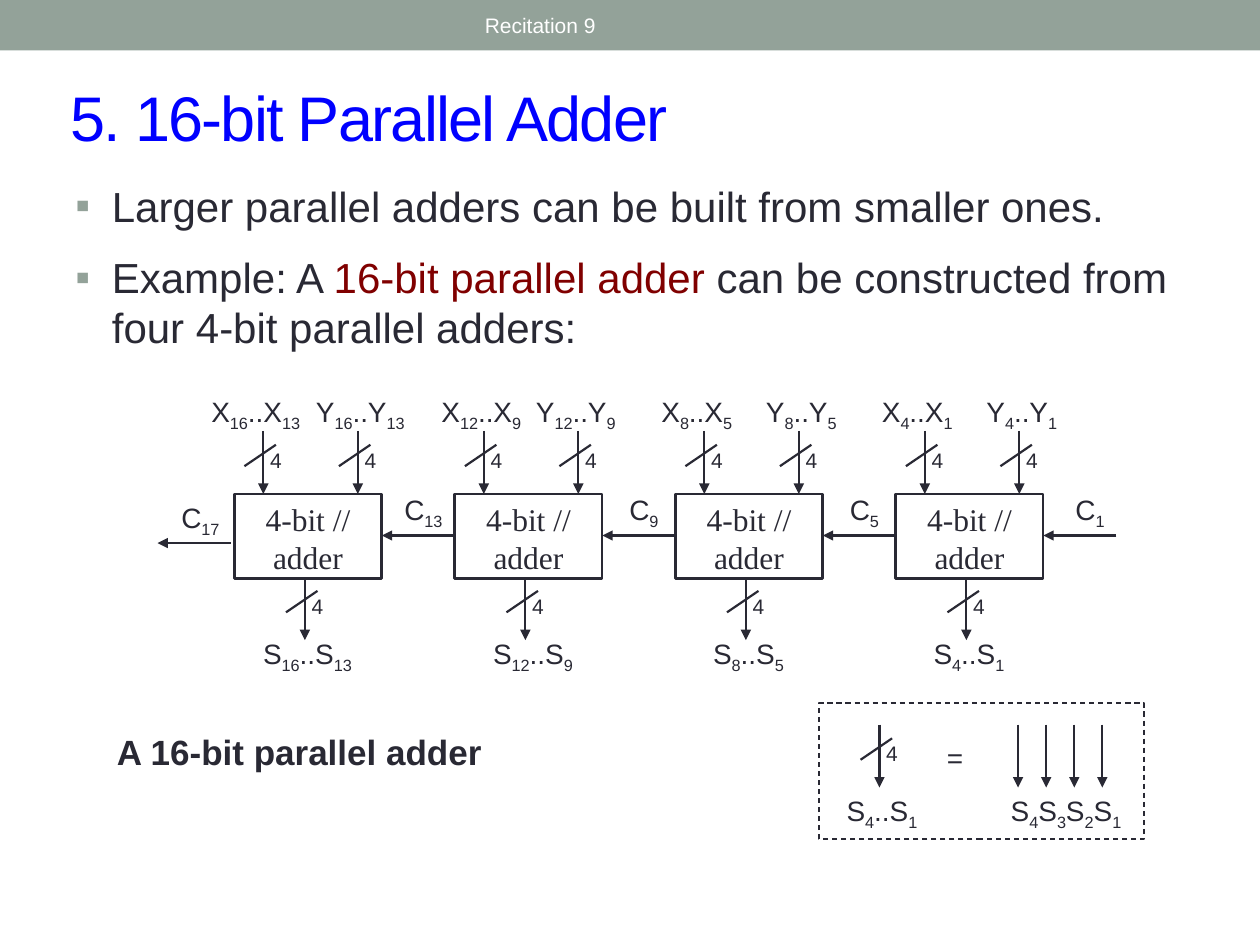
from dataclasses import dataclass

from lxml import etree
from pptx import Presentation
from pptx import util as u
from pptx.dml import color
from pptx.enum import dml, shapes, text
from pptx.oxml import ns


@dataclass(frozen=True)
class Theme:
    sans: str = "Arial"
    serif: str = "Times New Roman"
    ink: str = "292934"
    sage: str = "93A299"
    blue: str = "0000FF"
    maroon: str = "800000"
    white: str = "FFFFFF"
    title: int = 36
    body: int = 24
    caption: int = 20
    adder: int = 18
    label: int = 16
    small: int = 12
    box_line: float = 1.5
    wire_line: float = 1.25
    legend_line: float = 0.75


THEME = Theme()
CENTER = text.PP_ALIGN.CENTER
COLUMN_LEFT = 1.86
COLUMN_STEP = 1.75
BOX_WIDTH = 1.17
BOX_HEIGHT = 0.67
INPUT_TOP = 3.42
BOX_TOP = 3.92
OUTPUT_TOP = 4.58
CARRY_Y = 4.25


def rgb(value):
    return color.RGBColor.from_string(value)


def add_bullet(paragraph, hanging=0.29):
    properties = paragraph._p.get_or_add_pPr()
    properties.set("marL", str(u.Inches(hanging)))
    properties.set("indent", str(-u.Inches(hanging)))
    bullet_color = etree.SubElement(properties, ns.qn("a:buClr"))
    etree.SubElement(bullet_color, ns.qn("a:srgbClr"), val=THEME.sage)
    etree.SubElement(properties, ns.qn("a:buFont"), typeface=THEME.sans)
    etree.SubElement(properties, ns.qn("a:buChar"), char="▪")


def write_text(shape, content, size=THEME.label, font=THEME.sans, fill=THEME.ink,
               align=None, anchor=text.MSO_ANCHOR.TOP, bold=False, bullets=False,
               accent=None, spacing=None, gap=0, side_inset=0.1):
    """Parts between underscores take the accent colour, or become subscripts."""
    frame = shape.text_frame
    frame.word_wrap = True
    frame.vertical_anchor = anchor
    frame.margin_left = frame.margin_right = u.Inches(side_inset)
    for index, line in enumerate(content.split("\n")):
        paragraph = frame.add_paragraph() if index else frame.paragraphs[0]
        paragraph.alignment = align
        if index:
            paragraph.space_before = u.Pt(gap)
        if bullets:
            add_bullet(paragraph)
        for position, part in enumerate(line.split("_")):
            if not part:
                continue
            marked = position % 2 == 1
            run = paragraph.add_run()
            run.text = part
            run.font.name = font
            run.font.size = u.Pt(size)
            run.font.bold = bold
            run.font.color.rgb = rgb(accent if marked and accent else fill)
            properties = run._r.get_or_add_rPr()
            if marked and not accent:
                properties.set("baseline", "-25000")
            if spacing is not None:
                properties.set("spc", str(spacing))


def add_text(slide, content, left, top, width, height, **style):
    shape = slide.shapes.add_textbox(*map(u.Inches, (left, top, width, height)))
    write_text(shape, content, **style)


def add_label(slide, content, center, top, width, height=0.37, **style):
    add_text(slide, content, center - width / 2, top, width, height, align=CENTER, **style)


def add_box(slide, left, top, width, height, fill=None, line_width=None, dash=None):
    shape = slide.shapes.add_shape(
        shapes.MSO_SHAPE.RECTANGLE, *map(u.Inches, (left, top, width, height)))
    shape.shadow.inherit = False
    if fill:
        shape.fill.solid()
        shape.fill.fore_color.rgb = rgb(fill)
    else:
        shape.fill.background()
    if line_width:
        shape.line.color.rgb = rgb(THEME.ink)
        shape.line.width = u.Pt(line_width)
        shape.line.dash_style = dash
    else:
        shape.line.fill.background()
    return shape


def add_wire(slide, start, end, arrow=True):
    wire = slide.shapes.add_connector(
        shapes.MSO_CONNECTOR.STRAIGHT, *map(u.Inches, (*start, *end)))
    wire.line.color.rgb = rgb(THEME.ink)
    wire.line.width = u.Pt(THEME.wire_line)
    properties = wire._element.spPr
    if arrow:
        etree.SubElement(properties.find(ns.qn("a:ln")), ns.qn("a:tailEnd"), type="triangle")
    etree.SubElement(properties, ns.qn("a:effectLst"))


def add_bus(slide, x, top):
    add_wire(slide, (x, top), (x, top + 0.5))
    add_wire(slide, (x + 0.1, top + 0.11), (x - 0.15, top + 0.28), arrow=False)
    add_label(slide, "4", x + 0.1, top + 0.08, 0.33, 0.3, size=THEME.small)


def add_range(slide, letter, high, low, center, top):
    width = 0.66 + 0.085 * len(f"{high}{low}")
    add_label(slide, f"{letter}_{high}_..{letter}_{low}_", center, top, width)


def add_adder(slide, column):
    left = COLUMN_LEFT + column * COLUMN_STEP
    high, low = 16 - 4 * column, 13 - 4 * column
    nudge = 0.04 if column == 1 else 0
    box = add_box(slide, left, BOX_TOP, BOX_WIDTH, BOX_HEIGHT, line_width=THEME.box_line)
    write_text(box, "4-bit // adder", size=THEME.adder, font=THEME.serif, align=CENTER)
    for x in (0.23, 0.98):
        add_bus(slide, left + x, INPUT_TOP)
    add_bus(slide, left + 0.56, OUTPUT_TOP)
    add_range(slide, "X", high, low, left + 0.17 + nudge, 3.08)
    add_range(slide, "Y", high, low, left + 1 - nudge, 3.08)
    add_range(slide, "S", high, low, left + 0.58 + nudge, 5)
    right = left + BOX_WIDTH
    add_wire(slide, (right + 0.58, CARRY_Y), (right, CARRY_Y))
    carry_center = right + (0.37 if column == 3 else 0.33)
    add_label(slide, f"C_{low}_", carry_center, 3.86, 0.58)


def add_legend(slide):
    add_bus(slide, 6.98, 5.75)
    add_range(slide, "S", 4, 1, 7, 6.25)
    add_label(slide, "=", 7.58, 5.83, 0.5, side_inset=0.01)
    for index in range(4):
        x = 8.08 + 0.223 * index
        add_wire(slide, (x, 5.75), (x, 6.25))
    add_label(slide, "S_4_S_3_S_2_S_1_", 8.46, 6.25, 1.08, side_inset=0.01)
    add_box(slide, 6.5, 5.58, 2.58, 1.08, line_width=THEME.legend_line,
            dash=dml.MSO_LINE.DASH)


def main():
    presentation = Presentation()
    presentation.slide_width = u.Inches(10)
    presentation.slide_height = u.Inches(7.5)
    slide = presentation.slides.add_slide(presentation.slide_layouts[6])
    add_box(slide, 0, 0, 10, 0.4, fill=THEME.sage)
    add_text(slide, "5. 16-bit Parallel Adder", 0.46, 0.57, 9.21, 0.7, size=THEME.title,
             fill=THEME.blue, anchor=text.MSO_ANCHOR.MIDDLE, spacing=-100)
    add_text(slide, "Recitation 9", 3.75, 0.02, 4.5, 0.36, size=THEME.small,
             fill=THEME.white, anchor=text.MSO_ANCHOR.MIDDLE)
    add_text(slide, "Larger parallel adders can be built from smaller ones.\n"
             "Example: A _16-bit parallel adder_ can be constructed from "
             "four 4-bit parallel adders:", 0.5, 1.38, 9, 4.95, size=THEME.body,
             accent=THEME.maroon, bullets=True, gap=12)
    for column in range(4):
        add_adder(slide, column)
    add_wire(slide, (1.83, 4.31), (1.25, 4.31))
    add_label(slide, "C_17_", 1.59, 3.92, 0.58)
    add_text(slide, "A 16-bit parallel adder", 0.83, 5.75, 3.17, 0.43,
             size=THEME.caption, bold=True)
    add_legend(slide)
    presentation.save("out.pptx")


if __name__ == "__main__":
    main()
